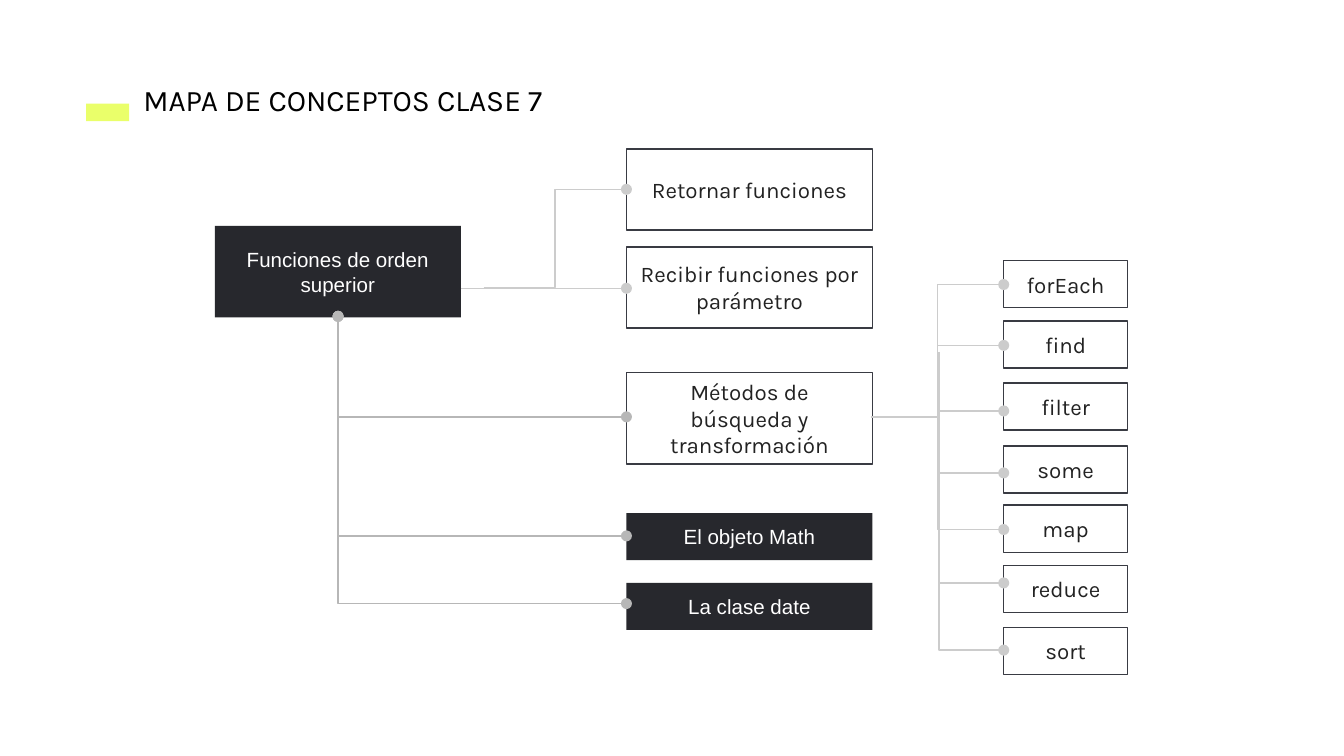
"""Build the concept map slide for class 7."""
import pptx
import pptx.util
import pptx.dml.color
import pptx.enum.shapes
import pptx.enum.text
import pptx.oxml.ns
from lxml import etree

Cm, Pt = pptx.util.Cm, pptx.util.Pt
qn = pptx.oxml.ns.qn
KIND = pptx.enum.shapes.MSO_SHAPE.RECTANGLE
ELBOW = pptx.enum.shapes.MSO_CONNECTOR.ELBOW
color = pptx.dml.color.RGBColor.from_string

deck = pptx.Presentation()
deck.slide_width, deck.slide_height = Cm(25.4), Cm(14.29)
slide = deck.slides.add_slide(deck.slide_layouts[6])
shapes = slide.shapes


def write(shape, text, size, font, ink):
    frame = shape.text_frame
    frame.word_wrap = True
    frame.margin_left = frame.margin_right = Cm(0.25)
    frame.margin_top = frame.margin_bottom = Cm(0.25)
    frame.text = text
    run = frame.paragraphs[0].runs[0]
    run.font.size, run.font.name = Pt(size), font
    run.font.color.rgb = color(ink)


def link(start, end, ink, head=False, corner=False):
    (x1, y1), (x2, y2) = start, end
    line = shapes.add_connector(ELBOW, Cm(x1), Cm(y1), Cm(x2), Cm(y2))
    line.line.color.rgb = color(ink)
    line.line.width = Pt(0.75)
    props = line._element.spPr
    if corner:
        wide, high = y2 - y1, x2 - x1
        line.left = Cm((x1 + x2 - wide) / 2)
        line.top = Cm((y1 + y2 - high) / 2)
        line.width, line.height = Cm(wide), Cm(high)
        frame = props.find(qn("a:xfrm"))
        frame.set("rot", "16200000")
        frame.set("flipH", "1")
        props.find(qn("a:prstGeom")).set("prst", "bentConnector2")
    stroke = props.find(qn("a:ln"))
    for tag in ["a:headEnd", "a:tailEnd"] if head else ["a:tailEnd"]:
        etree.SubElement(stroke, qn(tag), type="oval")
    etree.SubElement(props, qn("a:effectLst"))


mark = shapes.add_shape(KIND, Cm(1.63), Cm(1.96), Cm(0.81), Cm(0.33))
mark.shadow.inherit = False
mark.fill.solid()
mark.fill.fore_color.rgb = color("EAFF6A")
mark.line.fill.background()

title = shapes.add_textbox(Cm(2.46), Cm(1.3), Cm(8.84), Cm(1.19))
write(title, "MAPA DE CONCEPTOS CLASE 7", 16, "Karla", "000000")

mid, leaf = 11.84, 18.97
leaves = [
    ("forEach", 4.93, 5.38),
    ("find", 6.07, 6.53),
    ("filter", 7.24, 7.77),
    ("some", 8.43, 8.94),
    ("map", 9.55, 10.01),
    ("reduce", 10.69, 11.02),
    ("sort", 11.86, 12.29),
]
boxes = [
    ("Funciones de orden superior", 4.06, 4.27, 4.65, 1.73, True),
    ("Retornar funciones", mid, 2.82, 4.65, 1.53, False),
    ("Recibir funciones por parámetro", mid, 4.67, 4.65, 1.53, False),
    ("Métodos de búsqueda y transformación", mid, 7.04, 4.65, 1.73, False),
    ("El objeto Math", mid, 9.7, 4.65, 0.89, True),
    ("La clase date", mid, 11.02, 4.65, 0.89, True),
]
boxes += [(text, leaf, top, 2.34, 0.89, False) for text, top, _ in leaves]

for text, left, top, width, height, dark in boxes:
    box = shapes.add_shape(KIND, Cm(left), Cm(top), Cm(width), Cm(height))
    box.shadow.inherit = False
    if dark:
        box.fill.solid()
        box.fill.fore_color.rgb = color("27282D")
        box.line.fill.background()
        write(box, text, 11, "Arial", "FFFFFF")
    else:
        box.fill.background()
        box.line.color.rgb = color("393B43")
        box.line.width = Pt(0.75)
        write(box, text, 12, "Karla", "222222")
    box.text_frame.vertical_anchor = pptx.enum.text.MSO_ANCHOR.MIDDLE
    box.text_frame.paragraphs[0].alignment = pptx.enum.text.PP_ALIGN.CENTER

link((9.14, 5.44), (mid, 3.58), "CCCCCC")
link((8.71, 5.45), (mid, 5.45), "CCCCCC")

for _, _, y in leaves[:5]:
    link((16.47, 7.88), (leaf, y), "CCCCCC")
for (_, _, y), start in zip(leaves[5:], [6.65, 7.92]):
    link((17.75, start), (leaf, y), "CCCCCC", corner=True)

for y in [7.88, 10.13, 11.41]:
    link((6.39, 5.98), (mid, y), "B7B7B7", head=True, corner=True)

deck.save("out.pptx")
